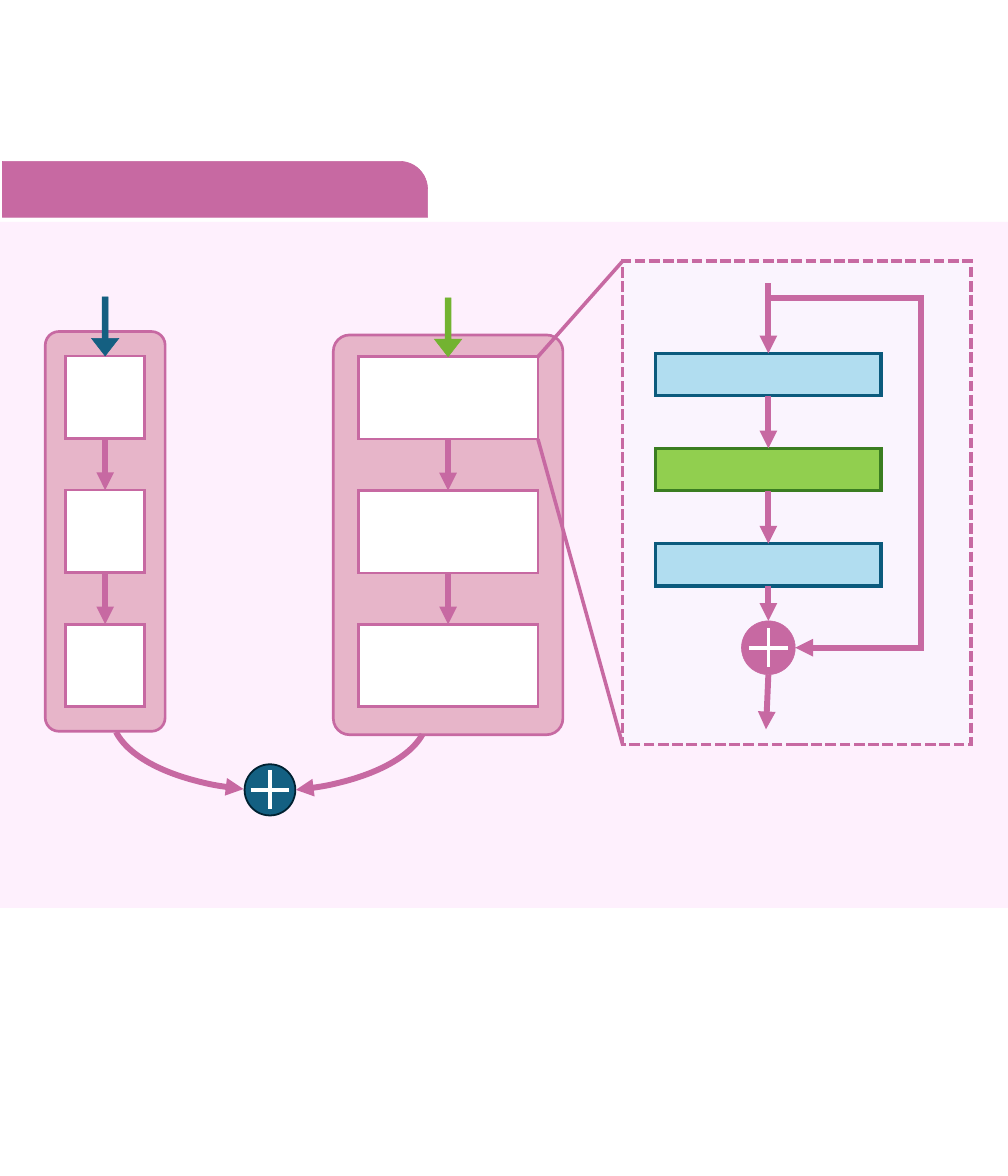
from pptx import Presentation
from pptx.dml.color import RGBColor
from pptx.enum.dml import MSO_LINE
from pptx.enum.shapes import MSO_CONNECTOR as CONN, MSO_SHAPE as SHAPE
from pptx.oxml.ns import qn
from pptx.util import Pt
from lxml.etree import SubElement

COLORS = {
    "panel": "FEF0FD", "pink": "C769A2", "rose": "E7B5C9", "white": "FFFFFF",
    "blue": "145F81", "green": "73B331", "lilac": "FAF4FE",
    "sky": "B1DDF0", "sky_edge": "0B5A7D", "lime": "91CF4F", "lime_edge": "3A7D21",
    "sum": "146082", "sum_edge": "002131",
}


def rgb(name):
    return RGBColor.from_string(COLORS[name])


def style_line(sp, color, width, dash=None, head=False, tail=False):
    sp.line.color.rgb = rgb(color)
    sp.line.width = Pt(width)
    if dash:
        sp.line.dash_style = dash
    ln = sp.line._get_or_add_ln()
    SubElement(ln, qn("a:miter"), lim="800000")
    if head:
        SubElement(ln, qn("a:headEnd"), type="triangle")
    if tail:
        SubElement(ln, qn("a:tailEnd"), type="triangle")


def add_box(s, kind, box, fill, edge, width=1, adj=(), dash=None, head=False):
    sp = s.shapes.add_shape(kind, *[Pt(v) for v in box])
    sp.shadow.inherit = False
    for i, value in enumerate(adj):
        sp.adjustments[i] = value
    if fill:
        sp.fill.solid()
        sp.fill.fore_color.rgb = rgb(fill)
    else:
        sp.fill.background()
    style_line(sp, edge, width, dash, head)
    return sp


def add_line(s, start, end, color="pink", width=10, tail=False, kind=CONN.STRAIGHT):
    c = s.shapes.add_connector(kind, *[Pt(v) for v in (*start, *end)])
    style_line(c, color, width, tail=tail)
    SubElement(c._element.spPr, qn("a:effectLst"))
    return c


def add_chain(s, cells):
    for upper, lower in zip(cells, cells[1:]):
        c = add_line(s, (0, 0), (0, 0), tail=True)
        c.begin_connect(upper, 2)
        c.end_connect(lower, 0)


def add_sum(s, box, fill, edge, width):
    x, y, w, h = box
    cx, cy, half = x + w / 2, y + h / 2, 32.75
    add_box(s, SHAPE.OVAL, box, fill, edge, width)
    add_line(s, (cx - half, cy), (cx + half, cy), "white", 6)
    add_line(s, (cx, cy - half), (cx, cy + half), "white", 6)


def add_header(s, box):
    add_box(s, SHAPE.ROUND_1_RECTANGLE, box, "pink", "pink", adj=[0.5])


def add_branch(s, box, cell_w, first, pitch, radius, input_color):
    x, y, w, h = box
    cell_h, arrow_w, arrow_h = 139, 46.1, 99.4
    cell_x, cell_y = x + (w - cell_w) / 2, y + first
    add_box(s, SHAPE.ROUNDED_RECTANGLE, box, "rose", "pink", 4.5, [radius])
    cells = [add_box(s, SHAPE.RECTANGLE, (cell_x, cell_y + i * pitch, cell_w, cell_h),
                     "white", "pink", 4.5) for i in range(3)]
    add_chain(s, cells)
    add_box(s, SHAPE.DOWN_ARROW,
            (x + (w - arrow_w) / 2, cell_y - arrow_h, arrow_w, arrow_h),
            input_color, input_color, adj=[0.214, 0.643])
    return cell_x, cell_y, cell_w, cell_h


def add_skip(s, start, end, reach):
    run, rise = end[1] - start[1], end[0] - start[0]
    left = (start[0] + end[0] - run) / 2
    top = (start[1] + end[1] - rise) / 2
    c = add_line(s, (left, top), (left + run, top + rise), tail=True, kind=CONN.ELBOW)
    xfrm = c._element.spPr.find(qn("a:xfrm"))
    xfrm.set("rot", "16200000")
    xfrm.set("flipH", "1")
    geom = c._element.spPr.find(qn("a:prstGeom"))
    geom.set("prst", "bentConnector4")
    guides = geom.find(qn("a:avLst"))
    for name, value in (("adj1", 0), ("adj2", reach / rise)):
        SubElement(guides, qn("a:gd"), name=name, fmla=f"val {round(value * 100000)}")


def add_block_detail(s, box):
    x, y, w, h = box
    bar_w, bar_h, pitch, d = 380.9, 71.3, 160.5, 90.7
    bar_x, bar_y = x + 55.4, y + 155.6
    cx, sum_y = bar_x + bar_w / 2, y + 607
    add_box(s, SHAPE.RECTANGLE, box, "lilac", "pink", 6, dash=MSO_LINE.SQUARE_DOT)
    bars = [add_box(s, SHAPE.RECTANGLE, (bar_x, bar_y + i * pitch, bar_w, bar_h),
                    fill, f"{fill}_edge", 6)
            for i, fill in enumerate(("sky", "lime", "sky"))]
    add_chain(s, bars)
    add_sum(s, (cx - d / 2, sum_y, d, d), "pink", "pink", 1)
    add_line(s, (cx, y + 37.5), (cx, bar_y), tail=True).end_connect(bars[0], 0)
    add_line(s, (cx, bar_y), (cx, sum_y), tail=True).begin_connect(bars[-1], 2)
    add_line(s, (cx, sum_y + d), (cx - 4, y + 790), tail=True)
    add_skip(s, (cx, y + 62), (cx + d / 2, sum_y + d / 2), 257)


def add_callout(s, cell, detail):
    right = cell[0] + cell[2]
    add_line(s, (right, cell[1]), detail[:2], width=6)
    add_line(s, (right, cell[1] + cell[3]), (detail[0], detail[1] + detail[3]), width=6)


def add_merge(s, box):
    x, y, w, h = box
    add_sum(s, (x + 224, y + 211, 85.7, 86.4), "sum", "sum_edge", 3)
    for left, top, end, flip in ((x, y, 212.41, False), (x - 29.5, y + 1.4, 212.05, True)):
        arc = add_box(s, SHAPE.ARC, (left, top, w, h), None, "pink", 10,
                      [177.14, end], head=True)
        arc.rotation = 180
        if flip:
            arc._element.spPr.find(qn("a:xfrm")).set("flipH", "1")


def main():
    prs = Presentation()
    prs.slide_width, prs.slide_height = Pt(1700.64), Pt(1984.32)
    s = prs.slides.add_slide(prs.slide_layouts[6])
    add_box(s, SHAPE.RECTANGLE, (0, 374.4, 1700.64, 1157), "panel", "panel")
    add_header(s, (4.3, 272.2, 717.1, 94.3))
    add_branch(s, (76.3, 559.4, 202.3, 674.6), 133.2, 41.1, 226.5, 0.114, "blue")
    cell = add_branch(s, (562.3, 565.2, 387.4, 674.6), 303.1, 36.7, 225.8, 0.071, "green")
    detail = (1050.5, 440.6, 587.5, 815.8)
    add_block_detail(s, detail)
    add_callout(s, cell, detail)
    add_merge(s, (188.6, 1078.6, 562.3, 255.6))
    prs.save("out.pptx")


if __name__ == "__main__":
    main()
